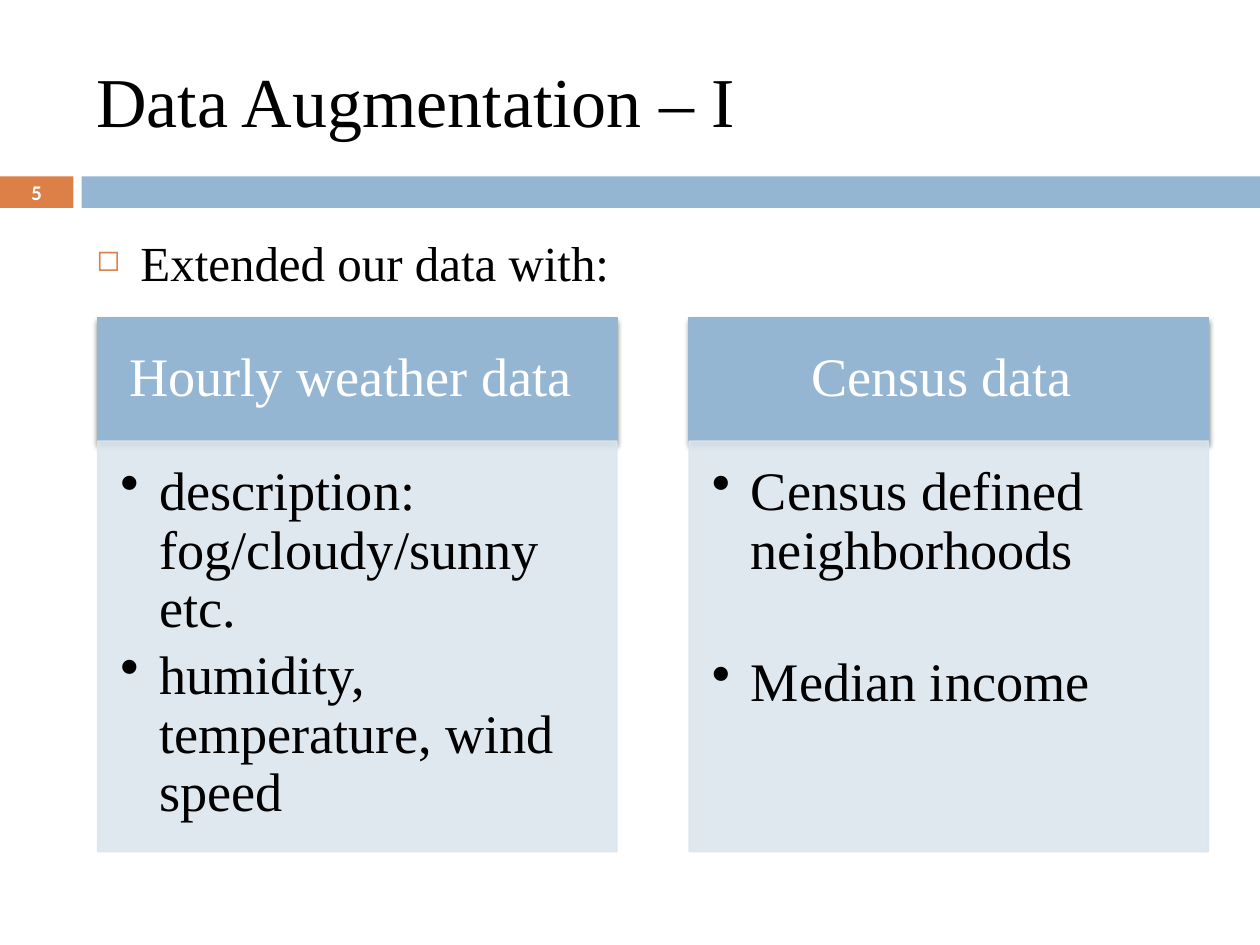
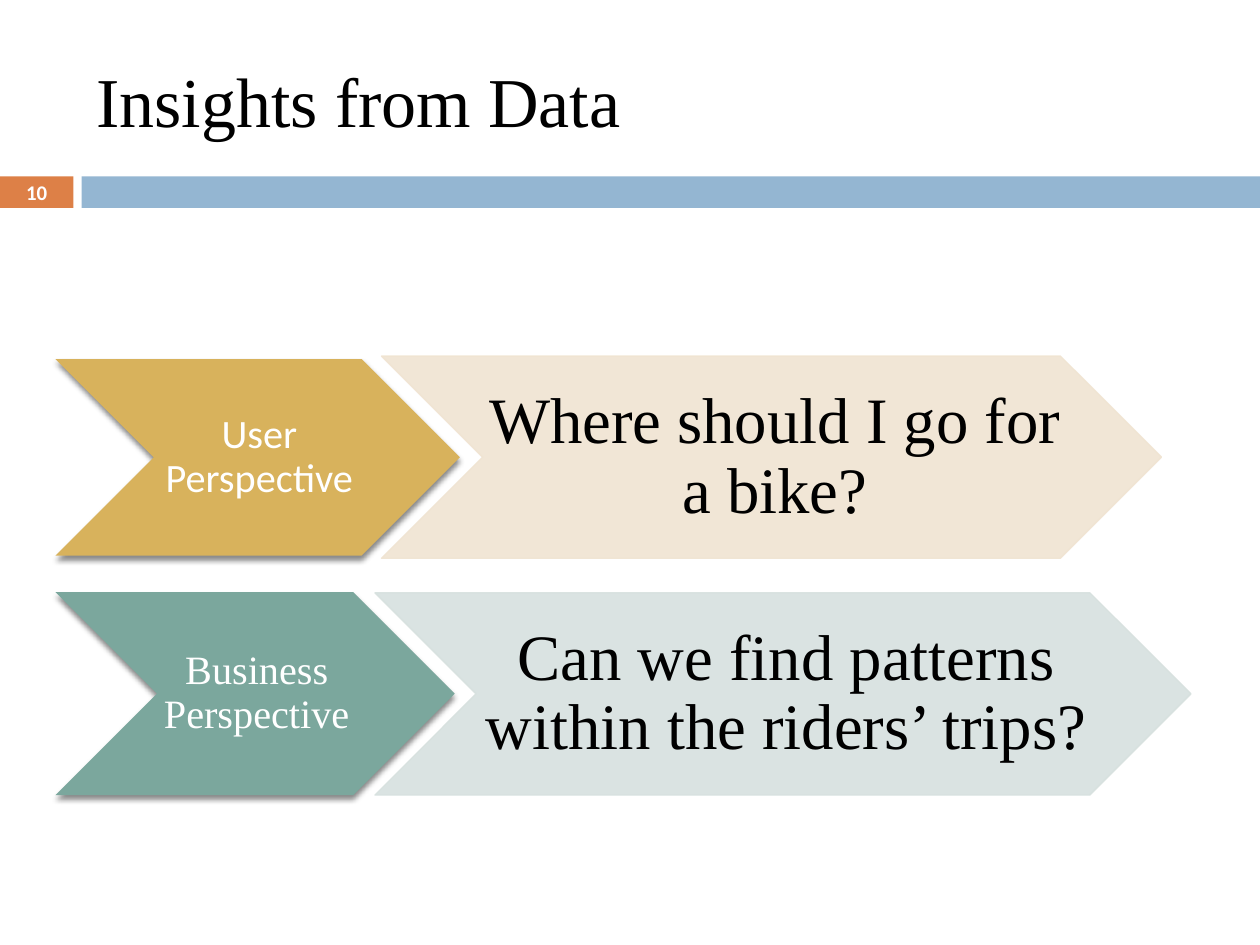
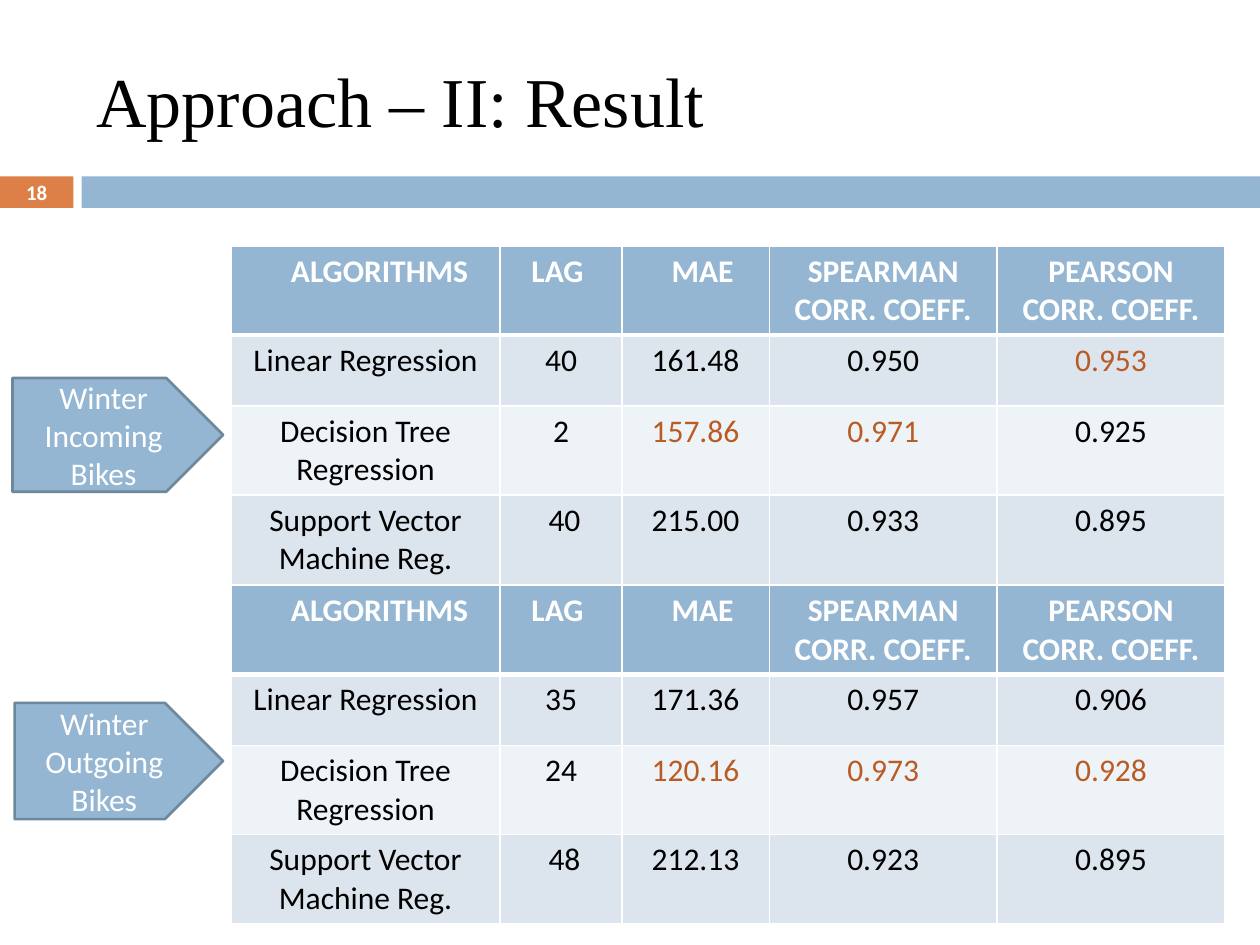
from dataclasses import dataclass
from pptx import Presentation
from pptx.dml.color import RGBColor
from pptx.enum.shapes import MSO_SHAPE
from pptx.enum.text import MSO_ANCHOR, PP_ALIGN
from pptx.oxml import parse_xml
from pptx.oxml.ns import nsdecls, qn
from pptx.util import Pt


@dataclass(frozen=True)
class Theme:
    serif: str = "Times New Roman"
    sans: str = "Calibri"
    black: str = "000000"
    white: str = "FFFFFF"
    orange: str = "DD8047"
    rust: str = "B95B22"
    blue: str = "94B6D2"
    blue_edge: str = "6D879B"
    blue_tint: str = "DCE5EE"
    blue_pale: str = "EEF3F7"
    gold: str = "D8B25C"
    gold_tint: str = "F0E4D2"
    green: str = "7BA79D"
    green_tint: str = "D7E1DF"
    title: float = 40
    question: float = 37
    panel: float = 31
    lead: float = 28
    perspective: float = 23
    table: float = 18
    number: float = 11.9


theme = Theme()


def write(frame, lines, size, color, font=theme.serif, align=PP_ALIGN.CENTER, bold=False,
          spacing=None, after=(), bullet=None, indent=0, bullet_xml="",
          anchor=MSO_ANCHOR.MIDDLE, insets=(7.2, 3.6, 7.2, 3.6)):
    """Fill a text frame, one paragraph per line."""
    frame.word_wrap = True
    frame.vertical_anchor = anchor
    (frame.margin_left, frame.margin_top,
     frame.margin_right, frame.margin_bottom) = map(Pt, insets)
    for i, line in enumerate(lines):
        paragraph = frame.paragraphs[0] if i == 0 else frame.add_paragraph()
        paragraph.text = line
        paragraph.alignment = align
        if bullet:
            properties = paragraph._p.get_or_add_pPr()
            properties.set("marL", str(Pt(indent)))
            properties.set("indent", str(-Pt(indent)))
            for xml in (bullet_xml, f'<a:buChar {nsdecls("a")} char="{bullet}"/>'):
                if xml:
                    for element in parse_xml(f'<a:pPr {nsdecls("a")}>{xml}</a:pPr>'):
                        properties.append(element)
        if spacing:
            paragraph.line_spacing = spacing
        if i < len(after):
            paragraph.space_after = Pt(after[i])
        paragraph.font.name = font
        paragraph.font.size = Pt(size)
        paragraph.font.bold = bold
        paragraph.font.color.rgb = RGBColor.from_string(color)


def block(slide, kind, box, fill, line=None, line_width=0.79, alpha=None, shadow=False):
    """Draw a filled shape, optionally translucent or with a soft shadow."""
    shape = slide.shapes.add_shape(kind, *map(Pt, box))
    shape.shadow.inherit = False
    shape.fill.solid()
    shape.fill.fore_color.rgb = RGBColor.from_string(fill)
    if line:
        shape.line.color.rgb = RGBColor.from_string(line)
        shape.line.width = Pt(line_width)
    else:
        shape.line.fill.background()
    properties = shape._element.spPr
    if alpha:
        for color in properties.iter(qn("a:srgbClr")):
            color.append(parse_xml(f'<a:alpha {nsdecls("a")} val="{alpha * 1000}"/>'))
    if shadow:
        properties.find(qn("a:effectLst")).append(parse_xml(
            f'<a:outerShdw {nsdecls("a")} blurRad="{Pt(3)}" dist="{Pt(2.4)}" dir="5400000" '
            f'rotWithShape="0"><a:srgbClr val="{theme.black}"><a:alpha val="45000"/>'
            '</a:srgbClr></a:outerShdw>'))
    return shape


deck = Presentation()
deck.slide_width, deck.slide_height = Pt(720), Pt(540)

# Title, band and page number on every slide
slides = []
for heading, number in (("Data Augmentation – I", "5"),
                        ("Insights from Data", "10"),
                        ("Approach – II: Result", "18")):
    slide = deck.slides.add_slide(deck.slide_layouts[6])
    page_tab = block(slide, MSO_SHAPE.RECTANGLE, (0, 100.8, 42, 18), theme.orange)
    write(page_tab.text_frame, [number], theme.number, theme.white, theme.sans,
          bold=True, insets=(0, 0, 0, 0))
    block(slide, MSO_SHAPE.RECTANGLE, (46.6, 100.8, 673.4, 18), theme.blue)
    title = slide.shapes.add_textbox(Pt(48), Pt(18), Pt(642), Pt(78))
    write(title.text_frame, [heading], theme.title, theme.black, align=PP_ALIGN.LEFT)
    slides.append(slide)
augmentation, insights, results = slides

# Data augmentation: lead line
lead = augmentation.shapes.add_textbox(Pt(48), Pt(129.5), Pt(672), Pt(45))
write(lead.text_frame, ["Extended our data with:"], theme.lead, theme.black,
      align=PP_ALIGN.LEFT, anchor=MSO_ANCHOR.TOP, bullet="◻", indent=25.2,
      bullet_xml=f'<a:buClr {nsdecls("a")}><a:srgbClr val="{theme.orange}"/></a:buClr>'
                 f'<a:buSzPct {nsdecls("a")} val="60000"/>')

# Data augmentation: two panels
panels = (
    ("Hourly weather data", 4.65,
     ["description: fog/cloudy/sunny etc.", "humidity, temperature, wind speed"]),
    ("Census data", 42, ["Census defined neighborhoods", "Median income"]),
)
for i, (source, gap, details) in enumerate(panels):
    left = 55.8 + 338 * i
    header = block(augmentation, MSO_SHAPE.RECTANGLE, (left, 181.5, 296.8, 70.5),
                   theme.blue, theme.blue, shadow=True)
    write(header.text_frame, [source], theme.panel, theme.white, spacing=0.9,
          insets=(17, 10, 25, 10))
    body = block(augmentation, MSO_SHAPE.RECTANGLE, (left, 252, 296.8, 234.7),
                 theme.blue_tint, theme.blue_tint, alpha=90)
    write(body.text_frame, details, theme.panel, theme.black, align=PP_ALIGN.LEFT,
          spacing=0.9, after=[gap], bullet="•", indent=22.3,
          anchor=MSO_ANCHOR.TOP, insets=(13, 13, 17, 19.5))

# Insights: one pair of chevrons per perspective
perspectives = (
    ("User Perspective", theme.sans, theme.gold, (31.7, 205.2, 231.1, 112.3),
     "Where should I go for a bike?", theme.gold_tint, (218, 203.5, 445.7, 115.5)),
    ("Business Perspective", theme.serif, theme.green, (31.7, 338.4, 228.2, 116),
     "Can we find patterns within the riders’ trips?", theme.green_tint,
     (214.3, 338.8, 466.3, 115.5)),
)
for viewpoint, font, color, view_box, question, tint, question_box in perspectives:
    view = block(insights, MSO_SHAPE.CHEVRON, view_box, color, shadow=True)
    write(view.text_frame, [viewpoint], theme.perspective, theme.white, font,
          spacing=0.9, insets=(2, 1.5, 0, 1.5))
    ask = block(insights, MSO_SHAPE.CHEVRON, question_box, tint, tint, alpha=90)
    write(ask.text_frame, [question], theme.question, theme.black,
          spacing=0.9, insets=(3.6, 2, 0, 2))

# Results: a table and a pointer for each direction
columns = ["ALGORITHMS", "LAG", "MAE", "SPEARMAN CORR. COEFF.", "PEARSON CORR. COEFF."]
algorithms = ["Linear Regression", "Decision Tree Regression", "Support Vector Machine Reg."]
column_widths = (153.8, 69.6, 84.2, 130.2, 130.2)
row_heights = (51, 40.5, 51, 51)
row_fills = (theme.blue, theme.blue_tint, theme.blue_pale, theme.blue_tint)
nudges = {(0, 0): 16, (0, 1): -4, (0, 2): 8, (3, 1): 4}  # extra side margin by cell

directions = (
    (140.5, ["Winter Incoming Bikes"], (7.2, 216, 120.3, 65),
     [["40", "161.48", "0.950", "0.953"],
      ["2", "157.86", "0.971", "0.925"],
      ["40", "215.00", "0.933", "0.895"]],
     {(1, 4), (2, 2), (2, 3)}),
    (334.5, ["Winter Outgoing", "Bikes"], (8.4, 401.7, 119.1, 66.4),
     [["35", "171.36", "0.957", "0.906"],
      ["24", "120.16", "0.973", "0.928"],
      ["48", "212.13", "0.923", "0.895"]],
     {(2, 2), (2, 3), (2, 4)}),
)
for top, label, pointer_box, scores, best in directions:
    rows = [columns] + [[name, *values] for name, values in zip(algorithms, scores)]
    table = results.shapes.add_table(len(rows), len(columns), Pt(132), Pt(top),
                                     Pt(sum(column_widths)), Pt(sum(row_heights))).table
    for column, width in zip(table.columns, column_widths):
        column.width = Pt(width)
    for r, values in enumerate(rows):
        table.rows[r].height = Pt(row_heights[r])
        for c, value in enumerate(values):
            cell = table.cell(r, c)
            nudge = nudges.get((r, c), 0)
            color = (theme.white if r == 0 else
                     theme.rust if (r, c) in best else theme.black)
            write(cell.text_frame, [value], theme.table, color, theme.sans, bold=r == 0)
            cell.vertical_anchor = MSO_ANCHOR.TOP
            cell.margin_left = Pt(7.2 + max(nudge, 0))
            cell.margin_right = Pt(7.2 + max(-nudge, 0))
            cell.margin_top = cell.margin_bottom = Pt(3.6)
            edges = {"lnL": 1, "lnR": 1, "lnT": 3 if r == 1 else 1, "lnB": 3 if r == 0 else 1}
            for edge, weight in edges.items():
                cell._tc.get_or_add_tcPr().append(parse_xml(
                    f'<a:{edge} {nsdecls("a")} w="{Pt(weight)}"><a:solidFill>'
                    f'<a:srgbClr val="{theme.white}"/></a:solidFill></a:{edge}>'))
            cell.fill.solid()
            cell.fill.fore_color.rgb = RGBColor.from_string(row_fills[r])
    pointer = block(results, MSO_SHAPE.PENTAGON, pointer_box, theme.blue,
                    theme.blue_edge, line_width=1.5)
    write(pointer.text_frame, label, theme.table, theme.white, theme.sans)

deck.save("out.pptx")
